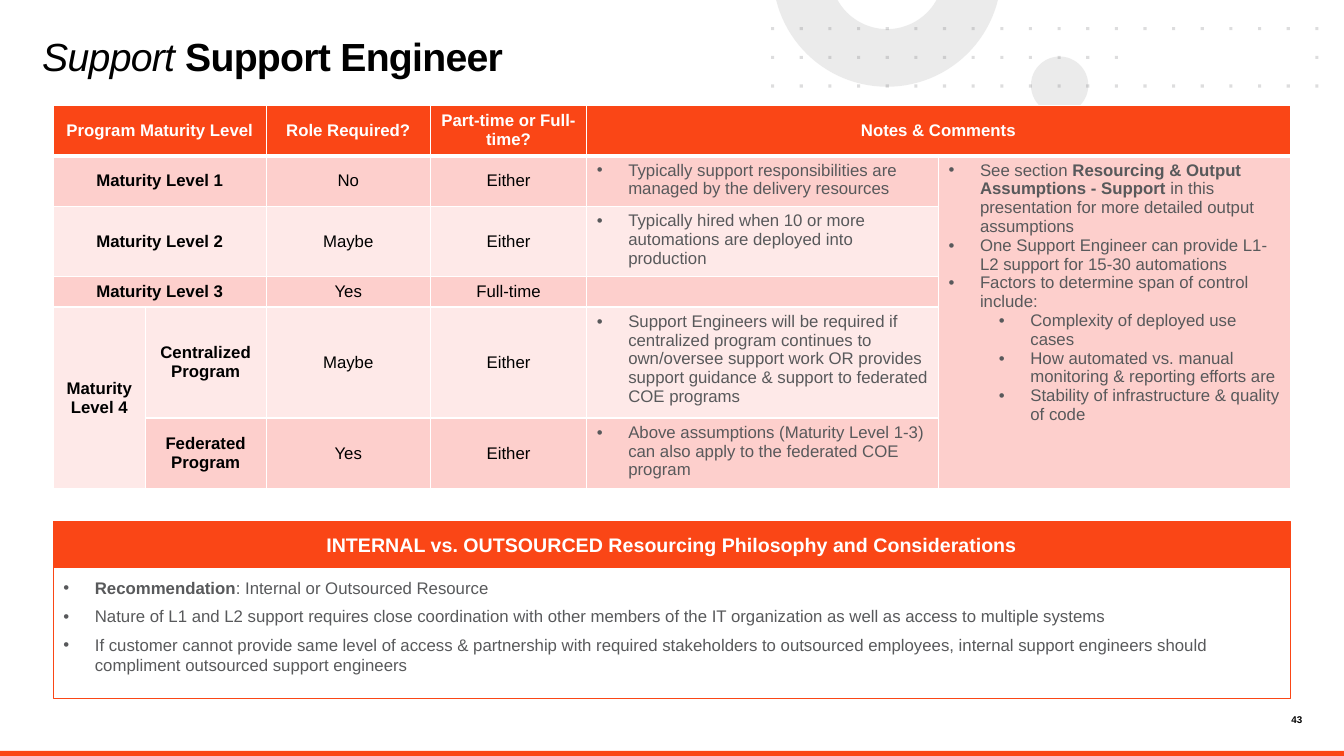
from math import asin, cos, pi, sin

from lxml import etree
from pptx import Presentation
from pptx.dml.color import RGBColor
from pptx.enum.shapes import MSO_SHAPE
from pptx.enum.text import MSO_ANCHOR, PP_ALIGN
from pptx.oxml.ns import qn
from pptx.util import Pt

RECT, OVAL = MSO_SHAPE.RECTANGLE, MSO_SHAPE.OVAL
TOP, MIDDLE = MSO_ANCHOR.TOP, MSO_ANCHOR.MIDDLE
LEFT, CENTER, RIGHT = PP_ALIGN.LEFT, PP_ALIGN.CENTER, PP_ALIGN.RIGHT

COLORS = {"orange": "FA4616", "rose": "FDCFCC", "blush": "FEE9E8", "white": "FFFFFF",
          "black": "000000", "gray": "58595B", "ring": "D9D9D9"}
FONT = "Arial"

# Content: a paragraph is a list of (text, style) runs; style is "b", "i" or ""
TITLE = [[("Support ", "i"), ("Support Engineer", "b")]]
PAGE_NUMBER = [[("43", "b")]]
HEADINGS = ["Program Maturity Level", "", "Role Required?", "Part-time or Full-time?",
            "Notes & Comments", ""]
LEVELS = [
    ("Maturity Level 1", "", "No", "Either",
     "Typically support responsibilities are managed by the delivery resources"),
    ("Maturity Level 2", "", "Maybe", "Either",
     "Typically hired when 10 or more automations are deployed into production"),
    ("Maturity Level 3", "", "Yes", "Full-time", ""),
    ("Maturity Level 4", "Centralized Program", "Maybe", "Either",
     "Support Engineers will be required if centralized program continues to own/oversee "
     "support work OR provides support guidance & support to federated COE programs"),
    ("", "Federated Program", "Yes", "Either",
     "Above assumptions (Maturity Level 1-3) can also apply to the federated COE program"),
]
GENERAL_NOTES = [
    [("See section ", ""), ("Resourcing & Output Assumptions - Support ", "b"),
     ("in this presentation for more detailed output assumptions", "")],
    [("One Support Engineer can provide L1-L2 support for 15-30 automations", "")],
    [("Factors to determine span of control include:", "")],
    [("Complexity of deployed use cases", "")],
    [("How automated vs. manual monitoring & reporting efforts are", "")],
    [("Stability of infrastructure & quality of code", "")],
]
PHILOSOPHY = [[("INTERNAL vs. OUTSOURCED Resourcing Philosophy and Considerations", "b")]]
CONSIDERATIONS = [
    [("Recommendation", "b"), (": Internal or Outsourced Resource", "")],
    [("Nature of L1 and L2 support requires close coordination with other members of the IT "
      "organization as well as access to multiple systems", "")],
    [("If customer cannot provide same level of access & partnership with required "
      "stakeholders to outsourced employees, internal support engineers should compliment "
      "outsourced support engineers", "")],
]

# Layout in points
MARGIN, BAND_W = 38.2, 883.4
COL_WIDTHS = [65.5, 86.4, 117.4, 111.6, 251.25, 251.25]
ROW_HEIGHTS = [33.6, 33.6, 47.3, 20.7, 74.5, 47.3]
MERGES = [((0, 0), (0, 1)), ((0, 4), (0, 5)), ((1, 0), (1, 1)), ((2, 0), (2, 1)),
          ((3, 0), (3, 1)), ((4, 0), (5, 0)), ((1, 5), (5, 5))]
INDENT, SUB_INDENT = 22.5, 58.5
DOT_X, DOT_Y, DOT_STEP, DOT_SIZE = 550.8, 19.4, 20.46, 2.2
DOT_BLOCKS = [(0, 6), (6, 12), (12, 14), (14, 20)]
MIDDLE_ROW_GAP = range(13, 19)
RING_X, RING_Y, RING_OUTER, RING_INNER, RING_STEPS = 633.6, -19.6, 81.6, 40.4, 48

prs = Presentation()
prs.slide_width, prs.slide_height = Pt(960), Pt(540)
slide = prs.slides.add_slide(prs.slide_layouts[6])


def rgb(name):
    return RGBColor.from_string(COLORS[name])


def write(frame, paragraphs, size=12, color="black", align=LEFT, anchor=TOP, inset=None,
          indents=None, after=None, line=None, tracking=None):
    frame.word_wrap = True
    if inset is not None:
        frame.margin_left = frame.margin_right = Pt(inset)
        frame.margin_top = frame.margin_bottom = Pt(inset)
        frame.vertical_anchor = anchor
    for i, runs in enumerate(paragraphs):
        para = frame.paragraphs[0] if i == 0 else frame.add_paragraph()
        para.alignment = align
        if after is not None:
            para.space_after = Pt(after)
        if line:
            para.line_spacing = line
        if indents:
            props = para._p.get_or_add_pPr()
            props.set("marL", str(Pt(indents[i])))
            props.set("indent", str(-Pt(INDENT)))
            etree.SubElement(props, qn("a:buFont")).set("typeface", FONT)
            etree.SubElement(props, qn("a:buChar")).set("char", "•")
        for text, style in runs:
            run = para.add_run()
            run.text = text
            run.font.name, run.font.size = FONT, Pt(size)
            run.font.bold, run.font.italic = style == "b", style == "i"
            run.font.color.rgb = rgb(color)
            if tracking:
                run._r.get_or_add_rPr().set("spc", str(round(tracking * 100)))


def paint(shape, fill, line=None, alpha=None):
    shape.shadow.inherit = False
    shape.fill.solid()
    shape.fill.fore_color.rgb = rgb(fill)
    if alpha:
        tint = shape._element.spPr.find(qn("a:solidFill"))[0]
        etree.SubElement(tint, qn("a:alpha")).set("val", str(alpha * 1000))
    if line:
        shape.line.color.rgb = rgb(line)
        shape.line.width = Pt(0.75)
    else:
        shape.line.fill.background()
    return shape


def add_block(kind, x, y, w, h, fill, **kwargs):
    return paint(slide.shapes.add_shape(kind, Pt(x), Pt(y), Pt(w), Pt(h)), fill, **kwargs)


def add_outline(contours, fill, alpha):
    scaled = [[(Pt(x), Pt(y)) for x, y in contour] for contour in contours]
    builder = slide.shapes.build_freeform(*scaled[0][0])
    for i, contour in enumerate(scaled):
        if i:
            builder.move_to(*contour[0])
        builder.add_line_segments(contour[1:], close=True)
    paint(builder.convert_to_shape(), fill, alpha=alpha)


def arc(radius):
    start = asin(-RING_Y / radius)
    angles = [start + (pi - 2 * start) * i / RING_STEPS for i in range(RING_STEPS + 1)]
    return [(RING_X + radius * cos(a), RING_Y + radius * sin(a)) for a in angles]


def dot(col, row):
    x, y = DOT_X + col * DOT_STEP, DOT_Y + row * DOT_STEP
    return [(x, y), (x + DOT_SIZE, y), (x + DOT_SIZE, y + DOT_SIZE), (x, y + DOT_SIZE)]


def add_text(x, y, w, h, paragraphs, **fmt):
    box = slide.shapes.add_textbox(Pt(x), Pt(y), Pt(w), Pt(h))
    write(box.text_frame, paragraphs, inset=0, **fmt)


def style_cell(cell, fill, bottom=1):
    props = cell._tc.get_or_add_tcPr()
    for side, width in (("L", 1), ("R", 1), ("T", 1), ("B", bottom)):
        border = etree.SubElement(props, qn(f"a:ln{side}"), w=str(Pt(width)))
        solid = etree.SubElement(border, qn("a:solidFill"))
        etree.SubElement(solid, qn("a:srgbClr")).set("val", COLORS["white"])
    cell.fill.solid()
    cell.fill.fore_color.rgb = rgb(fill)


# Page decoration
add_text(902.2, 509.8, 28, 9.4, PAGE_NUMBER, size=7, align=RIGHT)
add_block(RECT, 0, 536.4, 960, 3.6, "orange")
add_block(OVAL, 736.4, 40.4, 41, 41, "ring", alpha=50)
add_outline([arc(RING_OUTER) + arc(RING_INNER)[::-1]], "ring", 50)
for first, end in DOT_BLOCKS:
    add_outline([dot(col, row) for row in range(3) for col in range(first, end)
                 if row != 1 or col not in MIDDLE_ROW_GAP], "gray", 20)

# Title
add_text(30.2, 28.1, 520.6, 54, TITLE, size=28, line=0.85, tracking=-0.5)

# Maturity table
table = slide.shapes.add_table(len(ROW_HEIGHTS), len(COL_WIDTHS), Pt(MARGIN), Pt(75.2),
                               Pt(BAND_W), Pt(sum(ROW_HEIGHTS))).table
table.first_row = table.horz_banding = False
for column, width in zip(table.columns, COL_WIDTHS):
    column.width = Pt(width)
for row, height in zip(table.rows, ROW_HEIGHTS):
    row.height = Pt(height)
for start, end in MERGES:
    table.cell(*start).merge(table.cell(*end))

for r, texts in enumerate([HEADINGS] + [level + ("",) for level in LEVELS]):
    for c, text in enumerate(texts):
        cell = table.cell(r, c)
        header, note = r == 0, r > 0 and c >= 4
        fill = "orange" if header else "rose" if r % 2 else "blush"
        style_cell(cell, fill, bottom=3 if header else 1)
        cell.vertical_anchor = TOP if note else MIDDLE
        if (r, c) == (1, 5):
            write(cell.text_frame, GENERAL_NOTES, color="gray",
                  indents=[INDENT] * 3 + [SUB_INDENT] * 3)
        elif text:
            color = "white" if header else "gray" if note else "black"
            write(cell.text_frame, [[(text, "b" if header or c < 2 else "")]], color=color,
                  align=LEFT if note else CENTER, indents=[INDENT] if note else None)
        else:
            etree.SubElement(cell.text_frame.paragraphs[0]._p, qn("a:endParaRPr"), sz="1200")

# Resourcing panel
panel = add_block(RECT, MARGIN, 405.4, BAND_W, 93.6, "white", line="orange")
write(panel.text_frame, CONSIDERATIONS, color="gray", inset=7.2, after=6,
      indents=[INDENT] * len(CONSIDERATIONS))
banner = add_block(RECT, MARGIN, 372.2, BAND_W, 33.2, "orange", line="orange")
write(banner.text_frame, PHILOSOPHY, size=14, color="white", align=CENTER, anchor=MIDDLE,
      inset=7.2, after=6)

prs.save("out.pptx")
